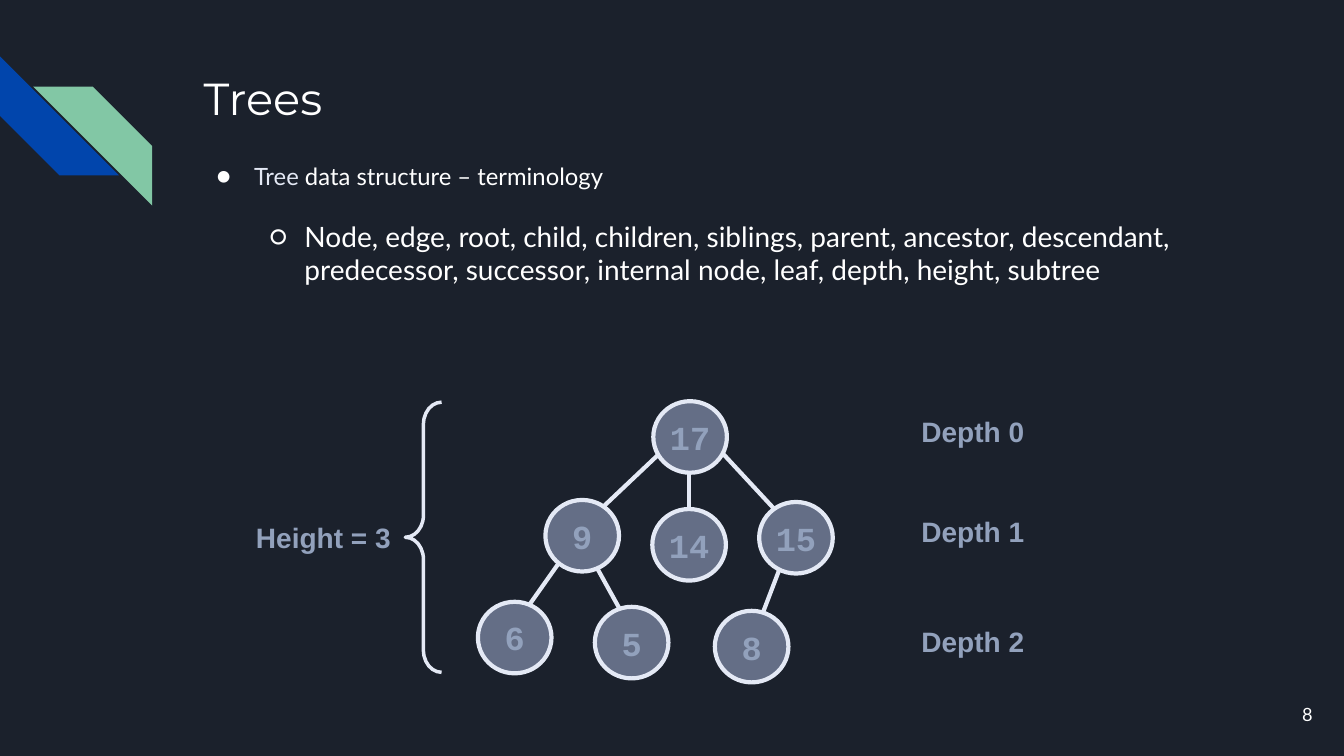
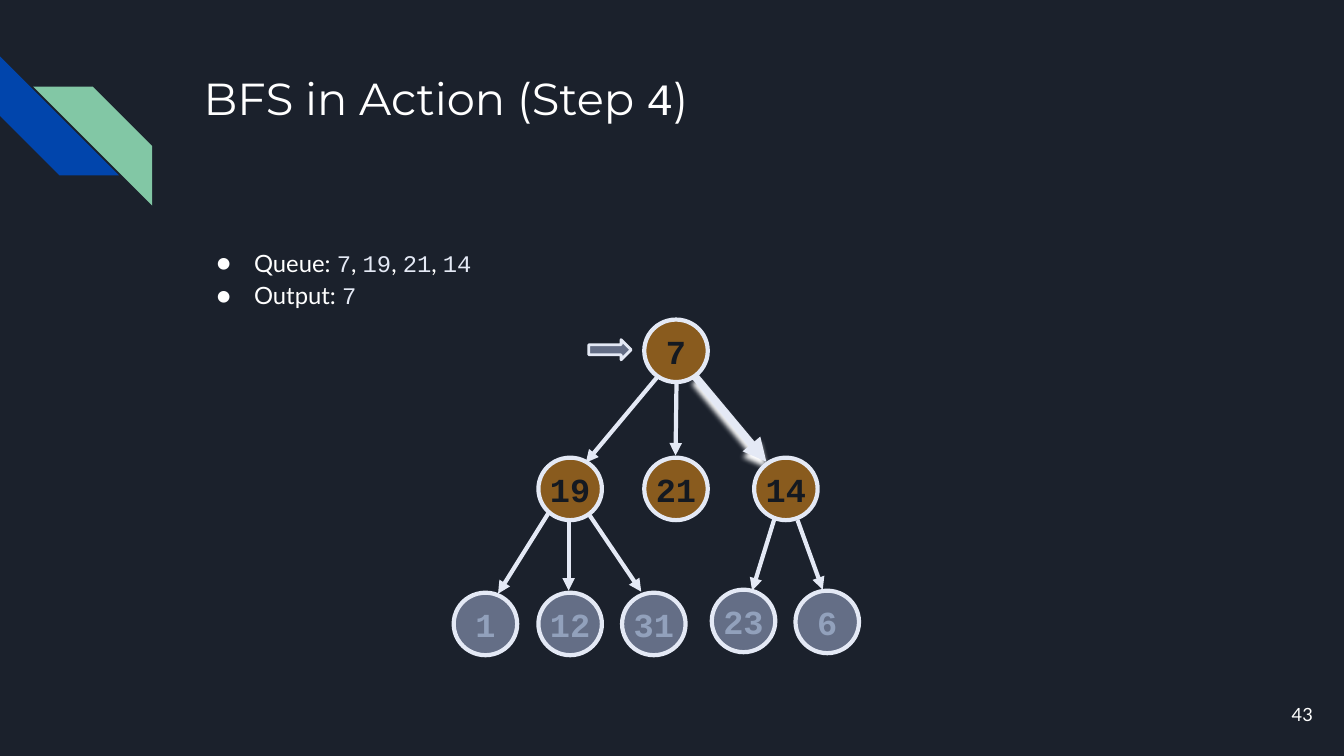
from lxml.etree import SubElement
from pptx import Presentation
from pptx.dml.color import RGBColor
from pptx.enum.shapes import MSO_CONNECTOR, MSO_SHAPE as SHAPE
from pptx.enum.text import MSO_ANCHOR as ANCHOR, MSO_AUTO_SIZE as FIT, PP_ALIGN as ALIGN
from pptx.oxml.ns import qn
from pptx.util import Inches, Pt

# Colours and fonts
NIGHT = RGBColor(0x1B, 0x21, 0x2C)
WHITE = RGBColor(0xFF, 0xFF, 0xFF)
PALE = RGBColor(0xE4, 0xE9, 0xF5)
STEEL = RGBColor(0x92, 0xA1, 0xBC)
INK = RGBColor(0x14, 0x19, 0x21)
LAVENDER = RGBColor(0xAE, 0xBC, 0xE1)
AMBER = RGBColor(0xB8, 0x75, 0x19)
BLUE = RGBColor(0x01, 0x45, 0xAC)
GREEN = RGBColor(0x82, 0xC7, 0xA5)
HEAD, BODY, MONO, LABEL = "Montserrat", "Lato", "Courier New", "Arial"

# Node styles: fill, opacity in percent, text colour
PLAIN = (LAVENDER, 50, STEEL)
VISITED = (AMBER, 70, INK)

# Slide 1: a run is a text, or (text, font, colour)
TERMS_TITLE = ["Trees"]
TERMS_TOPIC = [("Tree", BODY, PALE), " data structure – terminology"]
TERMS = ["Node, edge, root, child, children, siblings, parent, ancestor, descendant, "
         "predecessor, successor, internal node, leaf, depth, height, subtree"]
TERMS_LABELS = [("Height = 3", 2.44, 5.11, 1.55), ("Depth 0", 9.04, 4.06, 1.23),
                ("Depth 1", 9.04, 5.06, 1.23), ("Depth 2", 9.04, 6.15, 1.23)]
TERMS_NODES = [("17", 6.48, 3.98, PLAIN),
               ("9", 5.41, 4.96, PLAIN), ("14", 6.47, 5.05, PLAIN), ("15", 7.53, 4.98, PLAIN),
               ("6", 4.74, 5.97, PLAIN), ("5", 5.9, 6.02, PLAIN), ("8", 7.09, 6.06, PLAIN)]
TERMS_EDGES = [(6.53, 4.51, 5.98, 5.03), (6.83, 4.69, 6.83, 5.07), (7.17, 4.5, 7.68, 5.05),
               (5.54, 5.59, 5.25, 6), (5.93, 5.65, 6.14, 6.03), (7.73, 5.65, 7.57, 6.07)]

# Slide 2
BFS_TITLE = ["BFS in Action (Step ", ("4", MONO, WHITE), ")"]
BFS_LISTS = [("Queue: ", ["7", "19", "21", "14"]), ("Output: ", ["7"])]
BFS_NODES = [("7", 6.39, 3.17, VISITED),
             ("19", 5.34, 4.54, VISITED), ("21", 6.39, 4.54, VISITED), ("14", 7.48, 4.54, VISITED),
             ("1", 4.5, 5.88, PLAIN), ("12", 5.34, 5.88, PLAIN), ("31", 6.17, 5.88, PLAIN),
             ("23", 7.06, 5.85, PLAIN), ("6", 7.89, 5.86, PLAIN)]
BFS_EDGES = [(6.52, 3.74, 5.81, 4.59), (6.71, 3.78, 6.7, 4.52),
             (5.44, 5.09, 4.94, 5.89), (5.64, 5.17, 5.64, 5.86), (5.84, 5.1, 6.36, 5.87),
             (7.68, 5.15, 7.46, 5.86), (7.91, 5.16, 8.16, 5.85)]
BFS_CURRENT_EDGE = (6.89, 3.73, 7.6, 4.58)


def write(sp, runs, size, font=BODY, color=WHITE, bold=False, align=ALIGN.LEFT,
          bullet=None, margin=0, indent=0, before=None, spacing=None):
    """Add one paragraph to a shape."""
    tf = sp.text_frame
    p = tf.paragraphs[0]
    if p.runs:
        p = tf.add_paragraph()
    p.alignment = align
    if spacing:
        p.line_spacing = spacing
    if before:
        p.space_before = Pt(before)
    if bullet:
        pPr = p._p.get_or_add_pPr()
        pPr.set("marL", str(Inches(margin)))
        pPr.set("indent", str(Inches(indent)))
        SubElement(SubElement(pPr, qn("a:buClr")), qn("a:srgbClr"), val=str(WHITE))
        SubElement(pPr, qn("a:buFont"), typeface=BODY)
        SubElement(pPr, qn("a:buChar"), char=bullet)
    for run in runs:
        text, face, ink = (run, font, color) if isinstance(run, str) else run
        r = p.add_run()
        r.text = text
        r.font.name, r.font.size, r.font.bold = face, Pt(size), bold
        r.font.color.rgb = ink


def add_box(slide, x, y, w, h, inset=0.13, wrap=True, anchor=ANCHOR.TOP):
    sp = slide.shapes.add_textbox(*map(Inches, (x, y, w, h)))
    tf = sp.text_frame
    tf.word_wrap, tf.vertical_anchor = wrap, anchor
    tf.margin_left = tf.margin_right = tf.margin_top = tf.margin_bottom = Inches(inset)
    return sp


def add_shape(slide, kind, x, y, w, h, fill=None, opacity=100, line=None, width=3):
    sp = slide.shapes.add_shape(kind, *map(Inches, (x, y, w, h)))
    sp.shadow.inherit = False
    if fill is None:
        sp.fill.background()
    else:
        sp.fill.solid()
        sp.fill.fore_color.rgb = fill
        if opacity < 100:
            color = sp.element.spPr.find(qn("a:solidFill")).find(qn("a:srgbClr"))
            SubElement(color, qn("a:alpha"), val=str(opacity * 1000))
    if line is None:
        sp.line.fill.background()
    else:
        sp.line.color.rgb, sp.line.width = line, Pt(width)
    return sp


def add_edge(slide, ends, width=3, arrow=False, glow=False):
    edge = slide.shapes.add_connector(MSO_CONNECTOR.STRAIGHT, *map(Inches, ends))
    edge.line.color.rgb, edge.line.width = PALE, Pt(width)
    spPr = edge.element.spPr
    if arrow:
        SubElement(spPr.find(qn("a:ln")), qn("a:tailEnd"), type="triangle")
    effects = SubElement(spPr, qn("a:effectLst"))
    if glow:
        shadow = SubElement(effects, qn("a:outerShdw"), blurRad=str(Pt(4)), dist=str(Pt(4)),
                            dir="5400000", algn="ctr", rotWithShape="0")
        SubElement(shadow, qn("a:srgbClr"), val=str(WHITE))


def add_nodes(slide, nodes, w, h):
    for text, x, y, (fill, opacity, ink) in nodes:
        sp = add_shape(slide, SHAPE.OVAL, x, y, w, h, fill, opacity, PALE)
        sp.text_frame.word_wrap = False
        sp.text_frame.vertical_anchor = ANCHOR.MIDDLE
        write(sp, [text], 24, MONO, ink, bold=True, align=ALIGN.CENTER)


def add_slide(prs, title, number):
    """Background, corner stripes, title and page number."""
    slide = prs.slides.add_slide(prs.slide_layouts[6])
    slide.background.fill.solid()
    slide.background.fill.fore_color.rgb = NIGHT
    add_shape(slide, SHAPE.DIAGONAL_STRIPE, 0, 0.56, 1.18, 1.18, BLUE).rotation = 270
    green = add_shape(slide, SHAPE.DIAGONAL_STRIPE, 0.33, 0.86, 1.18, 1.18, GREEN)
    green.element.spPr.find(qn("a:xfrm")).set("flipH", "1")
    write(add_box(slide, 1.89, 0.57, 10.26, 1.33), title, 32, HEAD)
    page = add_box(slide, 12.35, 6.8, 0.8, 0.57, anchor=ANCHOR.MIDDLE)
    write(page, [str(number)], 13, align=ALIGN.RIGHT)
    return slide


def build_terms(prs):
    slide = add_slide(prs, TERMS_TITLE, 8)
    body = add_box(slide, 1.89, 1.47, 10.26, 1.88)
    write(body, TERMS_TOPIC, 17, bullet="●", margin=0.5, indent=-0.37)
    write(body, TERMS, 20, bullet="○", margin=1, indent=-0.35, before=21)

    # Height brace and labels
    brace = add_shape(slide, SHAPE.LEFT_BRACE, 4.02, 3.99, 0.36, 2.68, line=PALE, width=2.5)
    brace.adjustments[0] = 0.61
    for text, x, y, w in TERMS_LABELS:
        sp = add_box(slide, x, y, w, 0.44, wrap=False)
        tf = sp.text_frame
        tf.auto_size = FIT.SHAPE_TO_FIT_TEXT
        tf.margin_left = tf.margin_right = Inches(0.1)
        tf.margin_top = tf.margin_bottom = Inches(0.05)
        write(sp, [text], 20, LABEL, STEEL, bold=True)

    # Tree
    for ends in TERMS_EDGES:
        add_edge(slide, ends)
    add_nodes(slide, TERMS_NODES, 0.73, 0.71)


def build_bfs(prs):
    slide = add_slide(prs, BFS_TITLE, 43)
    body = add_box(slide, 1.89, 2.29, 10.26, 4.25)
    for name, values in BFS_LISTS:
        runs = [name]
        for i, value in enumerate(values):
            runs += [", "] * (i > 0) + [(value, MONO, PALE)]
        write(body, runs, 17, bullet="●", margin=0.5, indent=-0.37, spacing=1.15)

    # Tree, with the edge being followed and the current node marked
    add_edge(slide, BFS_CURRENT_EDGE, width=5.5, arrow=True, glow=True)
    for ends in BFS_EDGES:
        add_edge(slide, ends, arrow=True)
    add_nodes(slide, BFS_NODES, 0.63, 0.62)
    add_shape(slide, SHAPE.RIGHT_ARROW, 5.84, 3.37, 0.42, 0.2, LAVENDER, 50, PALE, 2)


def main():
    prs = Presentation()
    prs.slide_width, prs.slide_height = Inches(13.33), Inches(7.5)
    build_terms(prs)
    build_bfs(prs)
    prs.save("out.pptx")


if __name__ == "__main__":
    main()
